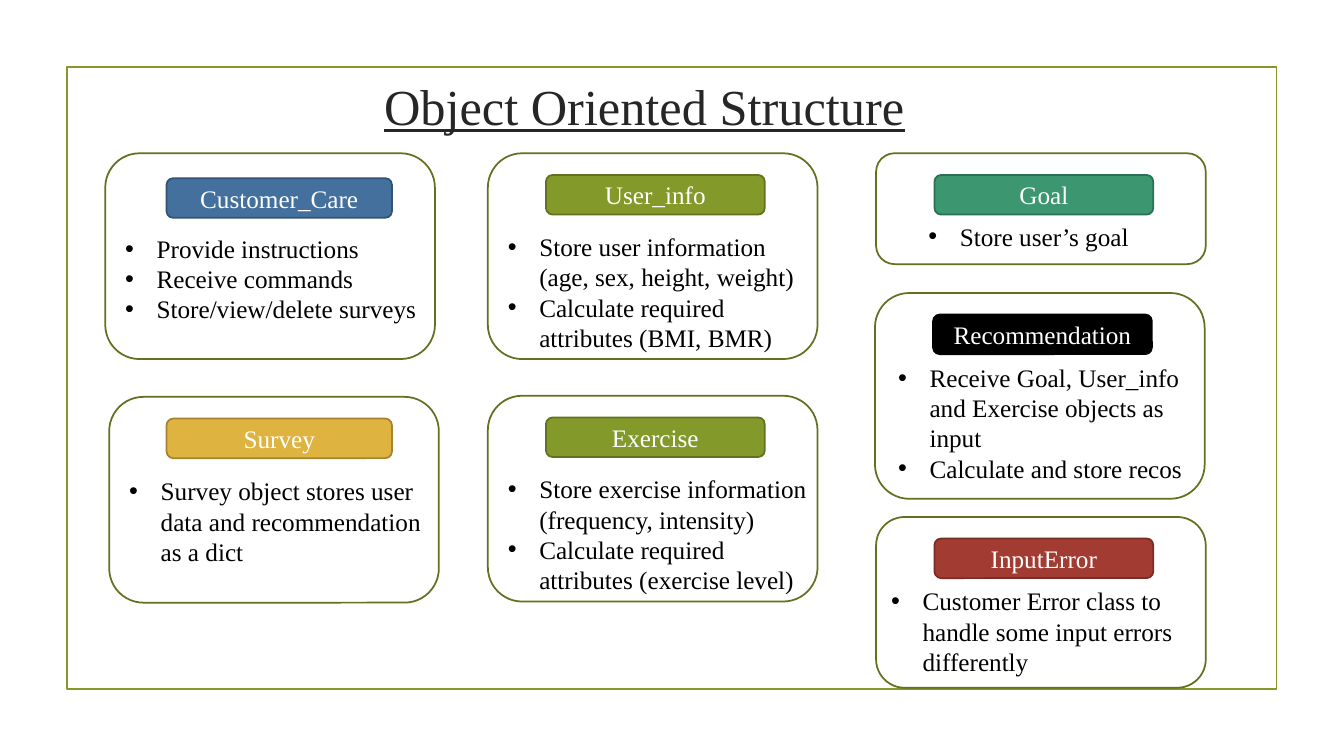
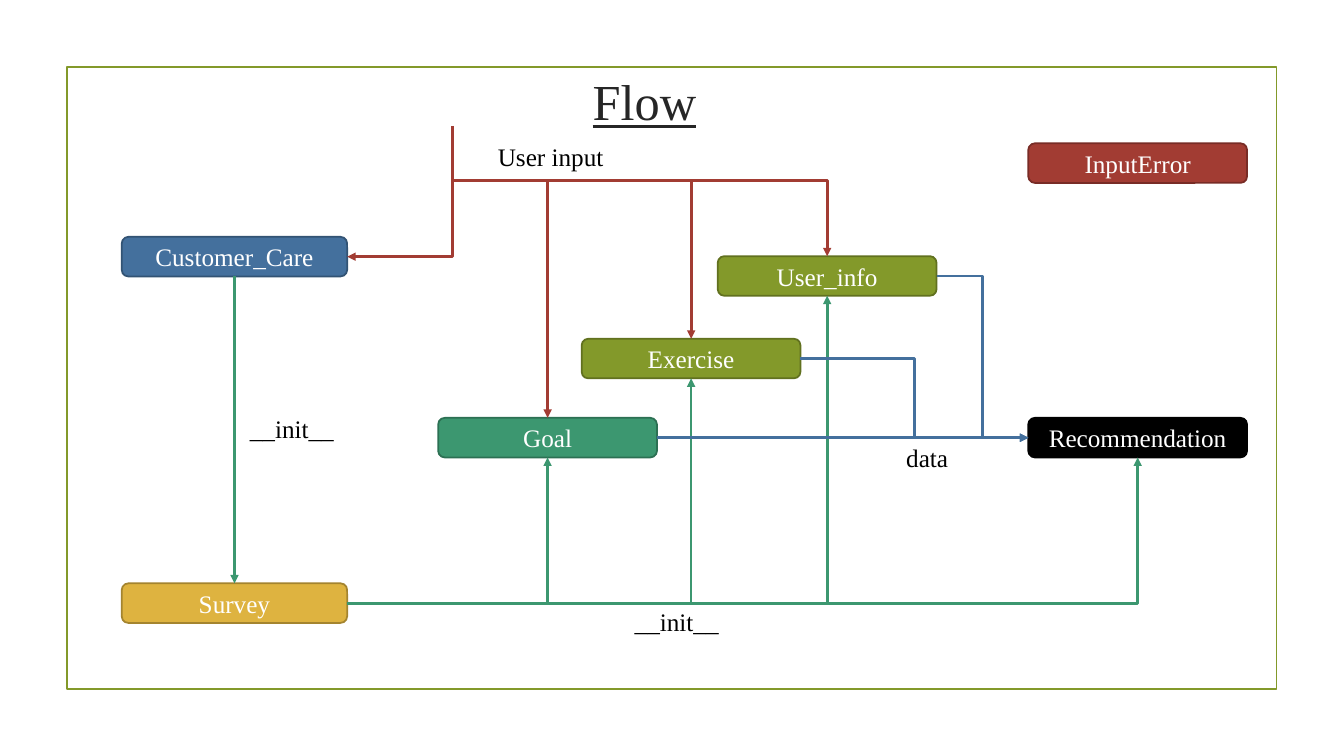
import pptx
import pptx.dml.color
import pptx.enum.shapes
import pptx.enum.text
import pptx.oxml
import pptx.oxml.ns
import pptx.util

Pt = pptx.util.Pt
colour = pptx.dml.color.RGBColor.from_string
qn = pptx.oxml.ns.qn
namespace = pptx.oxml.ns.nsdecls("a")
shape_types = pptx.enum.shapes.MSO_SHAPE
connector_types = pptx.enum.shapes.MSO_CONNECTOR
alignments = pptx.enum.text.PP_ALIGN
anchors = pptx.enum.text.MSO_ANCHOR

FONT = "Times New Roman"
OLIVE, DARK_OLIVE = "83992A", "61711F"
RED, GREEN, BLUE = "A23C33", "3C9770", "44709D"
BADGE_HEIGHT = 28.3

# Class name: badge width, fill, outline
CLASS_STYLES = {
    "Customer_Care": (161, BLUE, "325374"),
    "Survey": (161, "DEB340", "A4842F"),
    "User_info": (156.3, OLIVE, DARK_OLIVE),
    "Exercise": (156.3, OLIVE, DARK_OLIVE),
    "Goal": (156.3, GREEN, "2C7053"),
    "Recommendation": (156.3, "000000", "000000"),
    "InputError": (156.3, RED, "782C26"),
}


def add_badge(slide, name, left, top):
    width, fill, outline = CLASS_STYLES[name]
    badge = slide.shapes.add_shape(
        shape_types.ROUNDED_RECTANGLE, Pt(left), Pt(top), Pt(width), Pt(BADGE_HEIGHT))
    badge.shadow.inherit = False
    badge.fill.solid()
    badge.fill.fore_color.rgb = colour(fill)
    badge.line.color.rgb = colour(outline)
    badge.line.width = Pt(1.25)
    badge.text_frame.vertical_anchor = anchors.MIDDLE
    paragraph = badge.text_frame.paragraphs[0]
    paragraph.alignment = alignments.CENTER
    run = paragraph.add_run()
    run.text = name
    run.font.name = FONT
    run.font.size = Pt(18)
    run.font.color.rgb = colour("FFFFFF")
    return badge


def add_text(slide, left, top, width, height, lines, bulleted=False):
    frame = slide.shapes.add_textbox(Pt(left), Pt(top), Pt(width), Pt(height)).text_frame
    frame.word_wrap = True
    for index, line in enumerate(lines):
        paragraph = frame.add_paragraph() if index else frame.paragraphs[0]
        run = paragraph.add_run()
        run.text = line
        run.font.name = FONT
        run.font.size = Pt(18)
        run.font.color.rgb = colour("000000")
        if bulleted:
            properties = paragraph._p.get_or_add_pPr()
            properties.set("marL", str(Pt(22.5)))
            properties.set("indent", str(-Pt(22.5)))
            properties.append(pptx.oxml.parse_xml(f'<a:buFont {namespace} typeface="Arial"/>'))
            properties.append(pptx.oxml.parse_xml(f'<a:buChar {namespace} char="•"/>'))


presentation = pptx.Presentation()
presentation.slide_width = Pt(960)
presentation.slide_height = Pt(540)
layout = presentation.slide_layouts.get_by_name("Title Only")

# Slides with their titles
slides = []
for title_text, title_top in (("Object Oriented Structure", 23.5), ("Flow", 20.5)):
    slide = presentation.slides.add_slide(layout)
    title = slide.shapes.title
    title.left, title.top, title.width, title.height = Pt(82.3), Pt(title_top), Pt(756), Pt(103)
    title.text_frame.vertical_anchor = anchors.MIDDLE
    paragraph = title.text_frame.paragraphs[0]
    paragraph.alignment = alignments.CENTER
    run = paragraph.add_run()
    run.text = title_text
    run.font.name = FONT
    run.font.size = Pt(36)
    run.font.underline = True
    run.font.color.rgb = colour("262626")
    slides.append(slide)
structure_slide, flow_slide = slides

# Frame, moved to the layout so that both slides share it
frame = structure_slide.shapes.add_shape(
    shape_types.RECTANGLE, Pt(47.8), Pt(48), Pt(864), Pt(444))
frame.shadow.inherit = False
frame.fill.background()
frame.line.color.rgb = colour(OLIVE)
frame.line.width = Pt(1.25)
layout.shapes.element.insert(2, frame.element)

# Structure: name, card (left, top, height), badge (left, top), text (left, top, height), bullets
cards = [
    ("Customer_Care", (75.2, 109.5, 147), (119, 127.3), (82.3, 163, 73),
     ["Provide instructions", "Receive commands", "Store/view/delete surveys"]),
    ("Survey", (78, 283.5, 147), (119, 299), (85.2, 336.2, 94.5),
     ["Survey object stores user data and recommendation as a dict"]),
    ("User_info", (348.5, 109.5, 147), (390, 125), (355.6, 161.8, 94.5),
     ["Store user information (age, sex, height, weight)",
      "Calculate required attributes (BMI, BMR)"]),
    ("Exercise", (348.5, 282.7, 147), (390, 298.2), (355.6, 334.8, 94.5),
     ["Store exercise information (frequency, intensity)",
      "Calculate required attributes (exercise level)"]),
    ("Goal", (625.8, 109.5, 79.2), (667.5, 125), (656, 154.3, 29),
     ["Store user’s goal"]),
    ("Recommendation", (625, 209.3, 147), (666.5, 224.7), (634.4, 255.2, 116.5),
     ["Receive Goal, User_info and Exercise objects as input",
      "Calculate and store recos"]),
    ("InputError", (625.8, 369.3, 122), (667.5, 384.7), (629.4, 414.8, 73),
     ["Customer Error class to handle some input errors differently"]),
]
for name, (left, top, height), badge_place, (text_left, text_top, text_height), bullets in cards:
    card = structure_slide.shapes.add_shape(
        shape_types.ROUNDED_RECTANGLE, Pt(left), Pt(top), Pt(235.5), Pt(height))
    card.shadow.inherit = False
    card.fill.background()
    card.line.color.rgb = colour(DARK_OLIVE)
    card.line.width = Pt(1.25)
    add_badge(structure_slide, name, *badge_place)
    add_text(structure_slide, text_left, text_top, 228, text_height, bullets, bulleted=True)

# Flow: class badges
badge_places = {
    "Customer_Care": (87, 169.2), "Survey": (87, 416.7), "Exercise": (415.5, 242),
    "Goal": (313, 298.5), "Recommendation": (734.5, 298.5),
    "InputError": (734.5, 102.4), "User_info": (512.7, 183),
}
badges = {name: add_badge(flow_slide, name, *place) for name, place in badge_places.items()}

# Flow: routes as colour, bend, start and end; no start badge means the user input
TOP, LEFT, BOTTOM, RIGHT = range(4)
input_x, input_top, input_turn = Pt(323.5), Pt(90), Pt(129)
routes = [(GREEN, "straight", ("Customer_Care", BOTTOM), ("Survey", TOP))]
for name in ("Goal", "Exercise", "User_info", "Recommendation"):
    routes.append((GREEN, "across, down", ("Survey", RIGHT), (name, BOTTOM)))
for name in ("Goal", "Exercise", "User_info"):
    routes.append((RED, "down, across, down", None, (name, TOP)))
routes.append((RED, "down, across", None, ("Customer_Care", RIGHT)))
for name in ("Goal", "Exercise", "User_info"):
    routes.append((BLUE, "across, down, across", (name, RIGHT), ("Recommendation", LEFT)))

for route_colour, bend, start, end in routes:
    connector = flow_slide.shapes.add_connector(
        connector_types.STRAIGHT if bend == "straight" else connector_types.ELBOW,
        input_x, input_top, input_x, input_top)
    if start:
        connector.begin_connect(badges[start[0]], start[1])
    connector.end_connect(badges[end[0]], end[1])
    properties = connector.element.spPr
    geometry = properties.find(qn("a:prstGeom"))
    if bend in ("across, down", "down, across"):
        geometry.set("prst", "bentConnector2")

    # A route that starts downwards is a turned elbow
    if bend.startswith("down"):
        width, height = connector.width, connector.height
        connector.left += (width - height) // 2
        connector.top += (height - width) // 2
        connector.width, connector.height = height, width
        transform = properties.find(qn("a:xfrm"))
        goes_right = bend == "down, across, down"
        transform.set("rot", str((270 if goes_right else 90) * 60000))
        transform.set("flipH", "1" if goes_right else "0")
        if goes_right:
            turn = round(100000 * (input_turn - input_top) / height)
            geometry.find(qn("a:avLst")).append(pptx.oxml.parse_xml(
                f'<a:gd {namespace} name="adj1" fmla="val {turn}"/>'))

    connector.line.color.rgb = colour(route_colour)
    connector.line.width = Pt(2)
    properties.find(qn("a:ln")).append(
        pptx.oxml.parse_xml(f'<a:tailEnd {namespace} type="triangle"/>'))
    properties.append(pptx.oxml.parse_xml(f'<a:effectLst {namespace}/>'))

# Flow: route labels
for label, left, top in (("User input", 348.5, 97.5), ("__init__", 171.4, 291.5),
                         ("__init__", 446.3, 429.3), ("data", 640.2, 312.5)):
    add_text(flow_slide, left, top, 111.5, 29, [label])

presentation.save("out.pptx")
